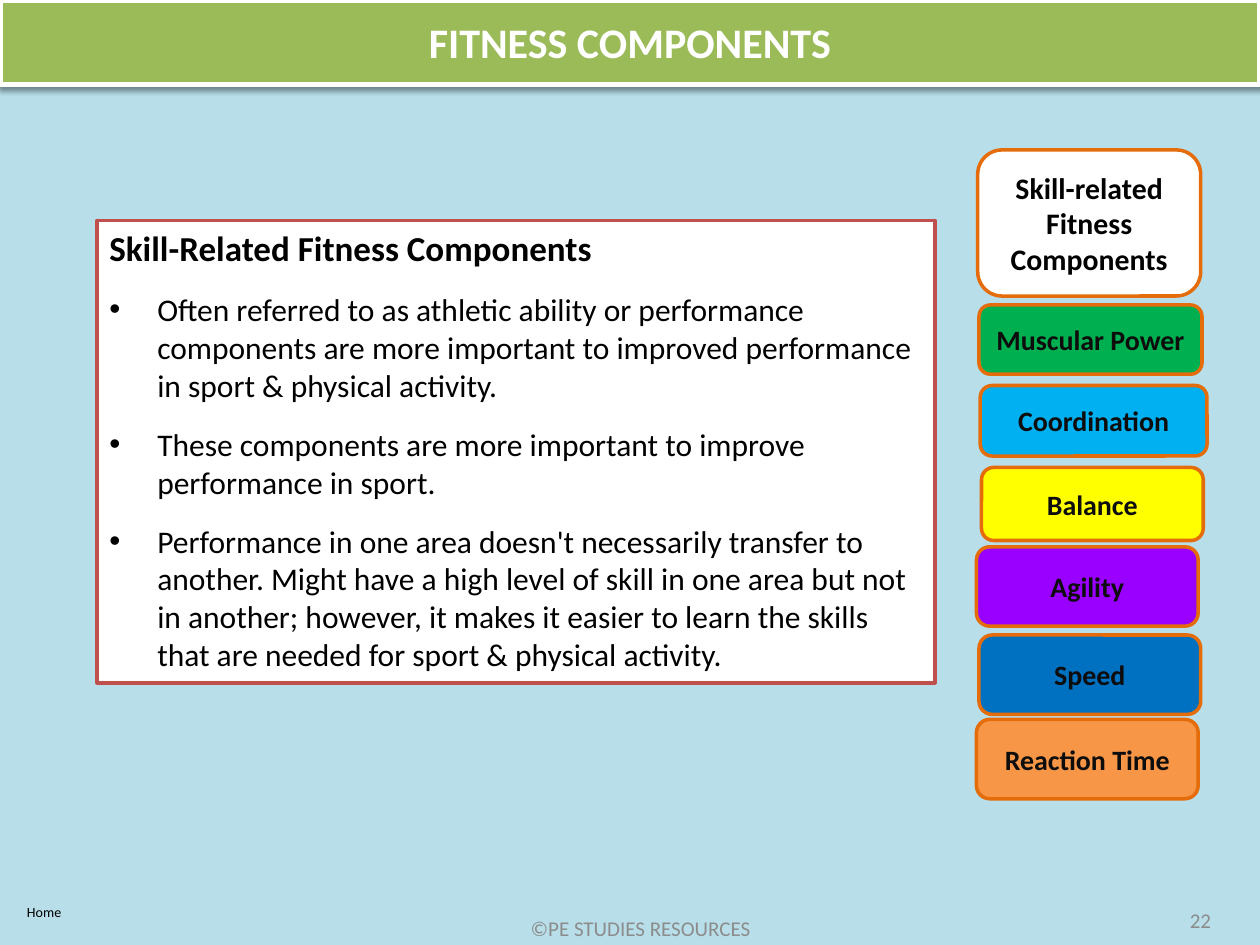
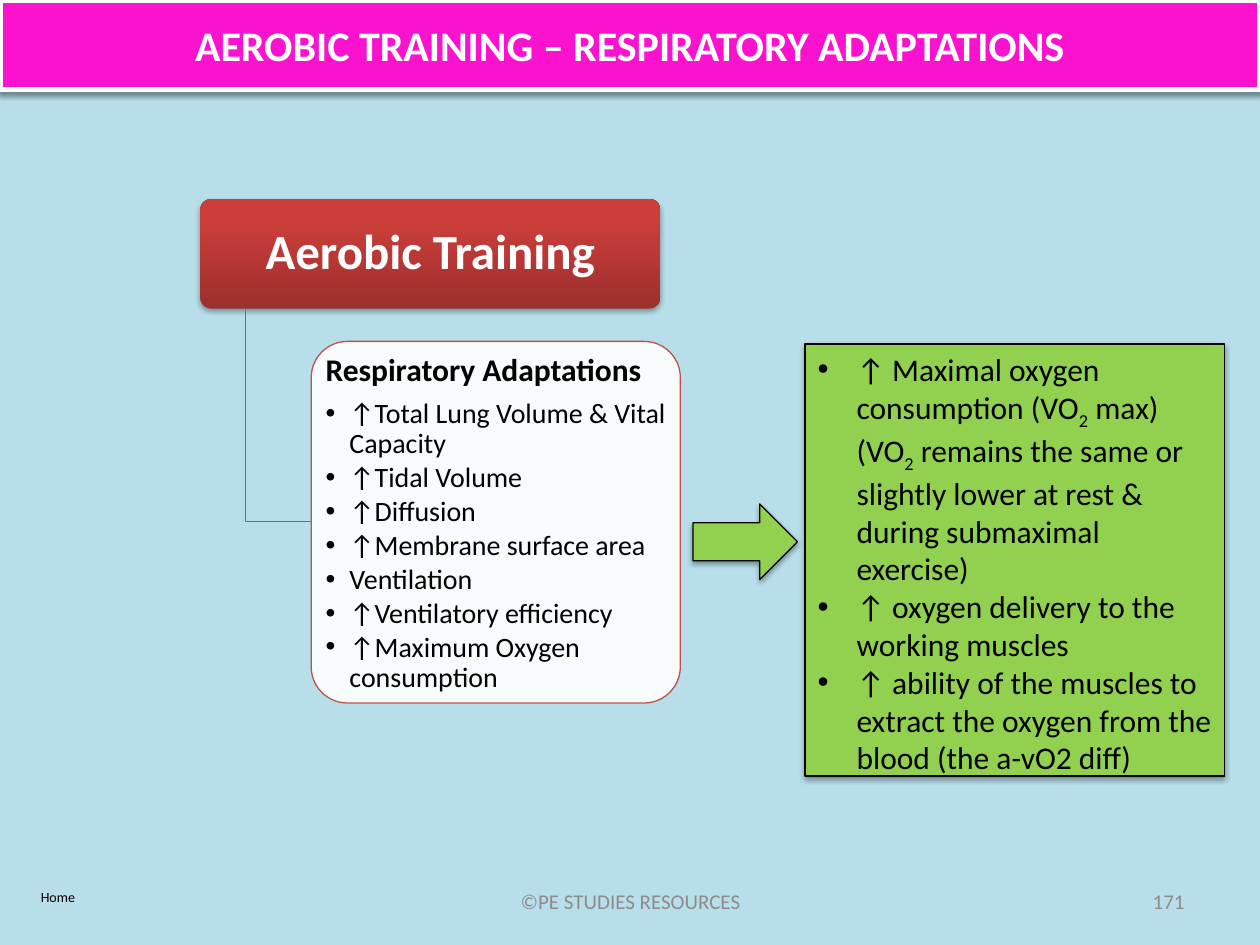
"""Build two fitness slides: skill-related components and respiratory adaptations."""
from lxml.etree import SubElement
from pptx import Presentation
from pptx.dml.color import RGBColor
from pptx.enum.shapes import MSO_SHAPE as SHAPE
from pptx.enum.text import MSO_ANCHOR as ANCHOR, PP_ALIGN as ALIGN
from pptx.oxml.ns import qn
from pptx.util import Inches, Pt

deck = Presentation()
deck.slide_width, deck.slide_height = Inches(10), Inches(7.5)
COL, ROW = deck.slide_width / 100, deck.slide_height / 75

FONT = "Calibri"
BLACK, WHITE, GREY = "000000", "FFFFFF", "8C8C8C"
SKY, LIME, RED, ORANGE = "B7DEE9", "92D050", "C0504D", "E46C0A"


def paint(fill, colour):
    """Give a shape, line or font fill one solid colour."""
    fill.solid()
    fill.fore_color.rgb = RGBColor.from_string(colour)


def block(slide, at, *paragraphs, shape=None, fill=None, line=None, weight=0.75,
          corner=None, shadow=0, size=18, colour=BLACK, bold=False, heading=None,
          align=ALIGN.LEFT, anchor=ANCHOR.MIDDLE, inset=(0.1, 0.05), hang=0,
          leading=None, before=0, after=0, heading_after=0):
    """Place text, in a shape or plain; |marks| enclose subscripts."""
    left, top, width, height = at
    frame_at = [int(n) for n in (left * COL, top * ROW, width * COL, height * ROW)]
    if shape is None:
        part = slide.shapes.add_textbox(*frame_at)
    else:
        part = slide.shapes.add_shape(shape, *frame_at)
        part.shadow.inherit = False
        if corner:
            part.adjustments[0] = corner
        if fill:
            paint(part.fill, fill)
        if line:
            paint(part.line.fill, line)
            part.line.width = Pt(weight)
        else:
            part.line.fill.background()
    if shadow:
        effects = part._element.spPr.find(qn("a:effectLst"))
        outer = SubElement(effects, qn("a:outerShdw"), blurRad="40000", dist="20000",
                           dir="5400000", rotWithShape="0")
        black = SubElement(outer, qn("a:srgbClr"), val=BLACK)
        SubElement(black, qn("a:alpha"), val=str(shadow * 1000))

    frame = part.text_frame
    frame.word_wrap = True
    frame.vertical_anchor = anchor
    frame.margin_left = frame.margin_right = Inches(inset[0])
    frame.margin_top = frame.margin_bottom = Inches(inset[1])
    for index, text in enumerate(paragraphs):
        is_heading = bool(heading) and index == 0
        paragraph = frame.paragraphs[0] if index == 0 else frame.add_paragraph()
        paragraph.alignment = align
        paragraph.space_before = Pt(before if index else 0)
        paragraph.space_after = Pt(heading_after if is_heading else after)
        if leading:
            paragraph.line_spacing = leading
        if hang and not is_heading:
            props = paragraph._p.get_or_add_pPr()
            props.set("marL", str(Inches(hang)))
            props.set("indent", str(-Inches(hang)))
            SubElement(props, qn("a:buFont"), typeface="Arial")
            SubElement(props, qn("a:buChar"), char="•")
        for place, piece in enumerate(text.split("|")):
            run = paragraph.add_run()
            run.text = piece
            run.font.name = FONT
            run.font.size = Pt(heading if is_heading else size)
            run.font.bold = bold or is_heading
            paint(run.font.fill, colour)
            if place % 2:
                run.font._element.set("baseline", "-25000")
    return part


pages = [
    dict(title="FITNESS COMPONENTS", band="9BBB59", depth=6.7, number="22",
         credit_at=(35, 71.7), number_at=(73.8, 71), home_at=(-1.1, 71.2)),
    dict(title="AEROBIC TRAINING – RESPIRATORY ADAPTATIONS", band="FA12CE", depth=7.1,
         number="171", credit_at=(34.2, 69.5), number_at=(71.7, 69.5), home_at=(0, 70)),
]
slides = []
for page in pages:
    slide = deck.slides.add_slide(deck.slide_layouts[6])
    paint(slide.background.fill, SKY)
    block(slide, (0, 0, 100, page["depth"]), page["title"], shape=SHAPE.RECTANGLE,
          fill=page["band"], line=WHITE, weight=3, shadow=38, size=24, colour=WHITE,
          bold=True, align=ALIGN.CENTER)
    block(slide, (*page["credit_at"], 31.7, 4), "©PE STUDIES RESOURCES", size=12,
          colour=GREY, align=ALIGN.CENTER)
    block(slide, (*page["number_at"], 23.3, 4), page["number"], size=12,
          colour=GREY, align=ALIGN.RIGHT)
    block(slide, (*page["home_at"], 9.2, 2.4), "Home", size=8, align=ALIGN.CENTER,
          anchor=ANCHOR.TOP)
    slides.append(slide)
components, adaptations = slides

block(components, (7.7, 17.5, 66.5, 36.7),
      "Skill-Related Fitness Components",
      "Often referred to as athletic ability or performance components are more "
      "important to improved performance in sport & physical activity.",
      "These components are more important to improve performance in sport.",
      "Performance in one area doesn't necessarily transfer to another. Might have a "
      "high level of skill in one area but not in another; however, it makes it easier "
      "to learn the skills that are needed for sport & physical activity.",
      shape=SHAPE.RECTANGLE, fill=WHITE, line=RED, weight=2, heading=20, hang=0.38,
      before=12.2, anchor=ANCHOR.TOP)

skill_buttons = [
    ("Skill-related Fitness Components", WHITE, (77.6, 11.9, 17.7, 11.6), 17, BLACK),
    ("Muscular Power", "00B050", (77.7, 24.2, 17.7, 5.5), 16, "0D0D0D"),
    ("Coordination", "00B0F0", (77.8, 30.6, 18, 5.6), 16, "0D0D0D"),
    ("Balance", "FFFF00", (77.9, 37.1, 17.6, 5.8), 16, "0D0D0D"),
    ("Agility", "9900FF", (77.5, 43.4, 17.6, 6.3), 16, "0D0D0D"),
    ("Speed", "0070C0", (77.7, 50.4, 17.6, 6.3), 16, "0D0D0D"),
    ("Reaction Time", "F79646", (77.5, 57.1, 17.6, 6.3), 16, "0D0D0D"),
]
for skill, fill, at, size, colour in skill_buttons:
    block(components, at, skill, shape=SHAPE.ROUNDED_RECTANGLE, fill=fill, line=ORANGE,
          weight=2, size=size, colour=colour, bold=True, align=ALIGN.CENTER)

block(adaptations, (55, 40, 8.3, 6), shape=SHAPE.RIGHT_ARROW, fill=LIME, line=BLACK,
      shadow=38)

training = block(adaptations, (15.9, 15.8, 36.5, 8.7), "Aerobic Training",
                 shape=SHAPE.ROUNDED_RECTANGLE, corner=0.1, shadow=35, size=28,
                 colour=WHITE, bold=True, align=ALIGN.CENTER, leading=0.9)
training.fill.gradient()
training.fill.gradient_angle = 90
for stop, shade, position in zip(training.fill.gradient_stops, ("9C2F2D", "CB3E3A"), (0, 0.8)):
    stop.color.rgb = RGBColor.from_string(shade)
    stop.position = position

branch = adaptations.shapes.build_freeform(int(19.5 * COL), int(24.5 * ROW))
branch.add_line_segments([(int(19.5 * COL), int(41.4 * ROW)),
                          (int(24.7 * COL), int(41.4 * ROW))], close=False)
branch_line = branch.convert_to_shape()
branch_line.shadow.inherit = False
branch_line.fill.background()
paint(branch_line.line.fill, RED)
branch_line.line.width = Pt(0.75)

respiratory = block(adaptations, (24.7, 27.1, 29.3, 28.7),
                    "Respiratory Adaptations", "↑Total Lung Volume & Vital Capacity",
                    "↑Tidal Volume", "↑Diffusion", "↑Membrane surface area",
                    "Ventilation", "↑Ventilatory efficiency",
                    "↑Maximum Oxygen consumption",
                    shape=SHAPE.ROUNDED_RECTANGLE, corner=0.1, fill=WHITE, line=RED,
                    size=16, heading=18, hang=0.19, leading=0.9, after=2.1,
                    heading_after=6.3, anchor=ANCHOR.TOP, inset=(0.03, 0.02))
white = respiratory._element.spPr.find(qn("a:solidFill")).find(qn("a:srgbClr"))
SubElement(white, qn("a:alpha"), val="90000")

block(adaptations, (63.9, 27.3, 33.3, 34.3),
      "↑ Maximal oxygen consumption (VO|2| max) (VO|2| remains the same or slightly "
      "lower at rest & during submaximal exercise)",
      "↑ oxygen delivery to the working muscles",
      "↑ ability of the muscles to extract the oxygen from the blood (the a-vO2 diff)",
      shape=SHAPE.RECTANGLE, fill=LIME, line=BLACK, shadow=38, hang=0.31,
      anchor=ANCHOR.TOP)

deck.save("out.pptx")
